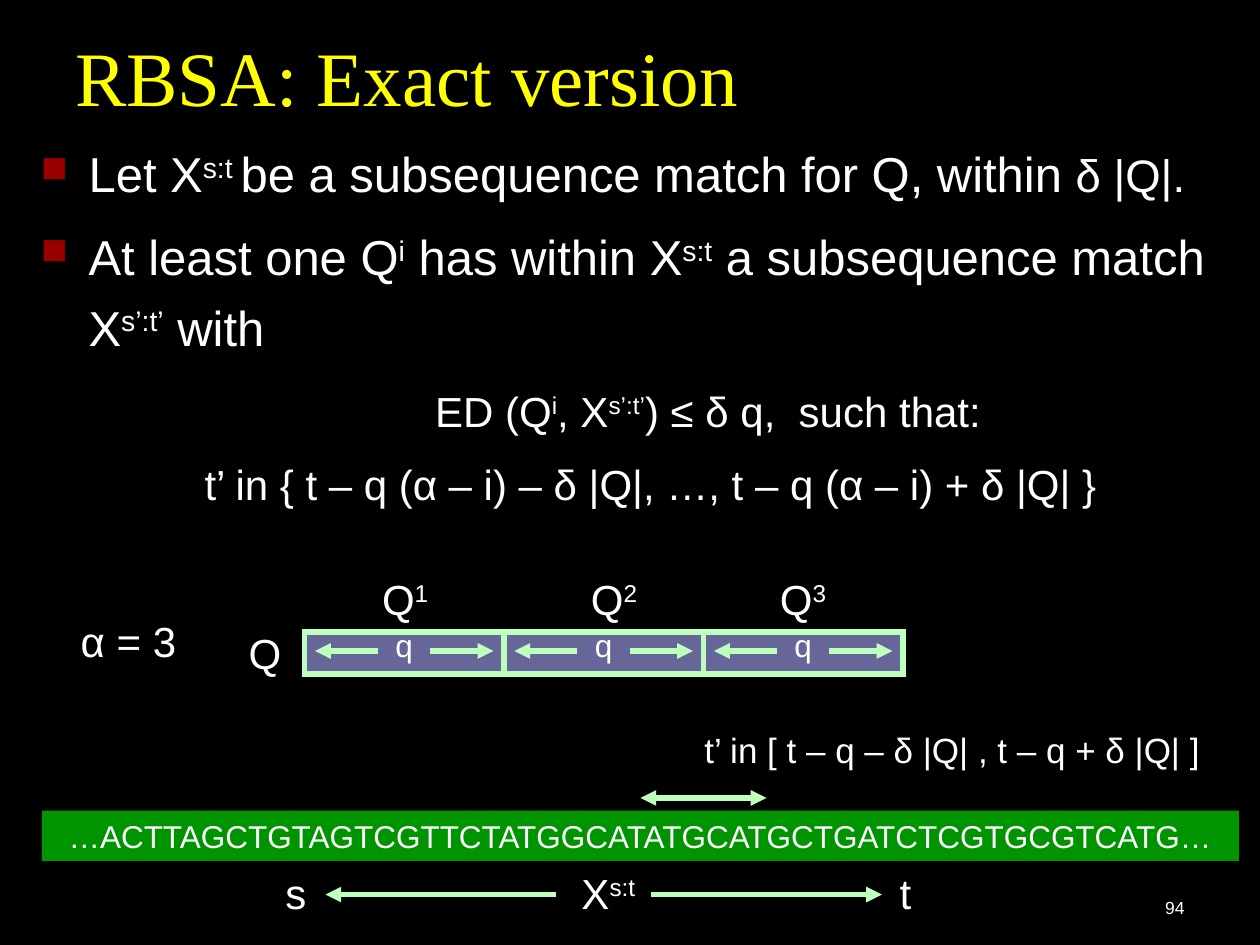
from lxml.etree import SubElement
from pptx import Presentation
from pptx.dml.color import RGBColor
from pptx.enum.shapes import MSO_CONNECTOR as Conn, MSO_SHAPE as Shape
from pptx.enum.text import MSO_ANCHOR as Anchor, PP_ALIGN as Align
from pptx.oxml.ns import qn
from pptx.util import Inches, Pt

BLACK = RGBColor(0x00, 0x00, 0x00)
WHITE = RGBColor(0xFF, 0xFF, 0xFF)
YELLOW = RGBColor(0xFF, 0xFF, 0x00)
RED = RGBColor(0x99, 0x00, 0x00)
GREEN = RGBColor(0x00, 0x94, 0x00)
MINT = RGBColor(0xBE, 0xFF, 0xBE)
SLATE = RGBColor(0x66, 0x66, 0x99)

CELL = Inches(1) / 12  # the slide is a grid of 120 columns by 90 rows


def grid(*cells):
    return [round(c * CELL) for c in cells]


def write(p, text, size=24, color=WHITE, font="Arial", align=Align.LEFT,
          spacing=None, before=0, left=0, hang=0, bullet=None, end="", end_size=26):
    """Fill a paragraph; text between two ^ marks is raised, end has its own size."""
    p.alignment, p.line_spacing, p.space_before = align, spacing, Pt(before)
    pPr = p._p.get_or_add_pPr()
    pPr.set("marL", str(Inches(left)))
    pPr.set("indent", str(-Inches(hang)))
    if bullet:
        clr = SubElement(pPr, qn("a:buClr"))
        SubElement(clr, qn("a:srgbClr"), val=str(RED))
        SubElement(pPr, qn("a:buSzPct"), val="75000")
        SubElement(pPr, qn("a:buChar"), char=bullet)
    runs = [(part, size, i % 2) for i, part in enumerate(text.split("^"))]
    for part, points, raised in runs + [(end, end_size, 0)]:
        if part:
            r = p.add_run()
            r.text = part
            r.font.size, r.font.name = Pt(points), font
            r.font.color.rgb = color
            if raised:
                r.font._element.set("baseline", "30000")


class Board:
    """The current slide and its style."""

    def __init__(self, prs):
        self.slide = prs.slides.add_slide(prs.slide_layouts[6])
        self.slide.background.fill.solid()
        self.slide.background.fill.fore_color.rgb = BLACK

    def text(self, x, y, w, h, *paras, anchor=Anchor.TOP, **fmt):
        """Each paragraph is a text or a pair of text and its own format."""
        sp = self.slide.shapes.add_textbox(*grid(x, y, w, h))
        tf = sp.text_frame
        tf.word_wrap, tf.vertical_anchor = True, anchor
        for i, para in enumerate(paras):
            text, own = (para, {}) if isinstance(para, str) else para
            p = tf.add_paragraph() if i else tf.paragraphs[0]
            write(p, text, **{**fmt, **own})

    def bar(self, x, y, w, h, fill, line=None, text="", **fmt):
        sp = self.slide.shapes.add_shape(Shape.RECTANGLE, *grid(x, y, w, h))
        sp.shadow.inherit = False
        sp.fill.solid()
        sp.fill.fore_color.rgb = fill
        if line:
            sp.line.color.rgb, sp.line.width = line, Pt(3)
            SubElement(sp.line._get_or_add_ln(), qn("a:miter"), lim="800000")
        else:
            sp.line.fill.background()
        if text:
            write(sp.text_frame.paragraphs[0], text, **fmt)

    def line(self, x1, y1, x2, y2, heads=()):
        """heads names the arrow ends: headEnd at the start, tailEnd at the end."""
        cn = self.slide.shapes.add_connector(Conn.STRAIGHT, *grid(x1, y1, x2, y2))
        cn.line.color.rgb, cn.line.width = MINT, Pt(3)
        ln = cn.line._get_or_add_ln()
        for end in heads:
            SubElement(ln, qn("a:" + end), type="triangle")
        SubElement(cn._element.spPr, qn("a:effectLst"))


def main():
    prs = Presentation()
    prs.slide_width, prs.slide_height = grid(120, 90)
    board = Board(prs)

    # Title and statement
    board.text(6, 2.8, 116, 9.3, "RBSA: Exact version", size=44,
               anchor=Anchor.BOTTOM, color=YELLOW, font="Times New Roman", spacing=0.8)
    item = dict(size=28, left=0.38, hang=0.38, bullet="■")
    board.text(
        2.7, 12, 113.3, 41,
        ("Let X^s:t ^be a subsequence match for Q, within ", {**item, "end": "δ |Q|."}),
        ("At least one Q^i^ has within X^s:t^ a subsequence match X^s’:t’^ with",
         {**item, "before": 7}),
        ("ED (Q^i^, X^s’:t’^) ≤ δ q,  such that:", dict(left=3.13, before=11)),
        ("t’ in { t – q (α – i) – δ |Q|, …, t – q (α – i) + δ |Q| }",
         dict(left=1.3, before=7)),
        spacing=1.2)

    # Query bar, cut into three pieces of length q
    board.text(6.5, 58, 14, 6, "α = 3")
    board.text(22.5, 59.2, 6, 6, "Q")
    first, piece = 29, 19
    board.bar(first, 60.2, 3 * piece, 4, SLATE, MINT)
    for i, label_x in enumerate((35.2, 55.1, 73.1)):
        x = first + i * piece
        if i:
            board.line(x, 64, x, 60)
        board.text(label_x, 54, 9, 6, f"Q^{i + 1}^")
        board.text(x + 6, 59, 7, 4.8, "q", size=18, align=Align.CENTER)
        board.line(x + 7, 62, x + 1, 62, ["tailEnd"])
        board.line(x + 12, 62, x + 18, 62, ["tailEnd"])

    # Range of end points above the sequence
    board.text(65.9, 68, 54, 6, "t’ in [ t – q – δ |Q| , t – q + δ |Q| ]",
               size=20, spacing=1.2)
    board.line(61, 76, 73, 76, ["headEnd", "tailEnd"])
    board.bar(4, 77.2, 114, 4.8, GREEN, size=18, align=Align.CENTER,
              text="…ACTTAGCTGTAGTCGTTCTATGGCATATGCATGCTGATCTCGTGCGTCATG…")

    # Extent of the match below the sequence
    for x, label in ((26, "s"), (54.2, "X^s:t^"), (84.5, "t")):
        board.text(x, 82, 10, 6, label)
    board.line(53, 85.2, 31, 85.2, ["tailEnd"])
    board.line(62, 85.2, 84, 85.2, ["tailEnd"])

    # Page number
    board.text(89, 82, 25, 6, "94", anchor=Anchor.BOTTOM, size=10, align=Align.RIGHT)

    prs.save("out.pptx")


if __name__ == "__main__":
    main()
